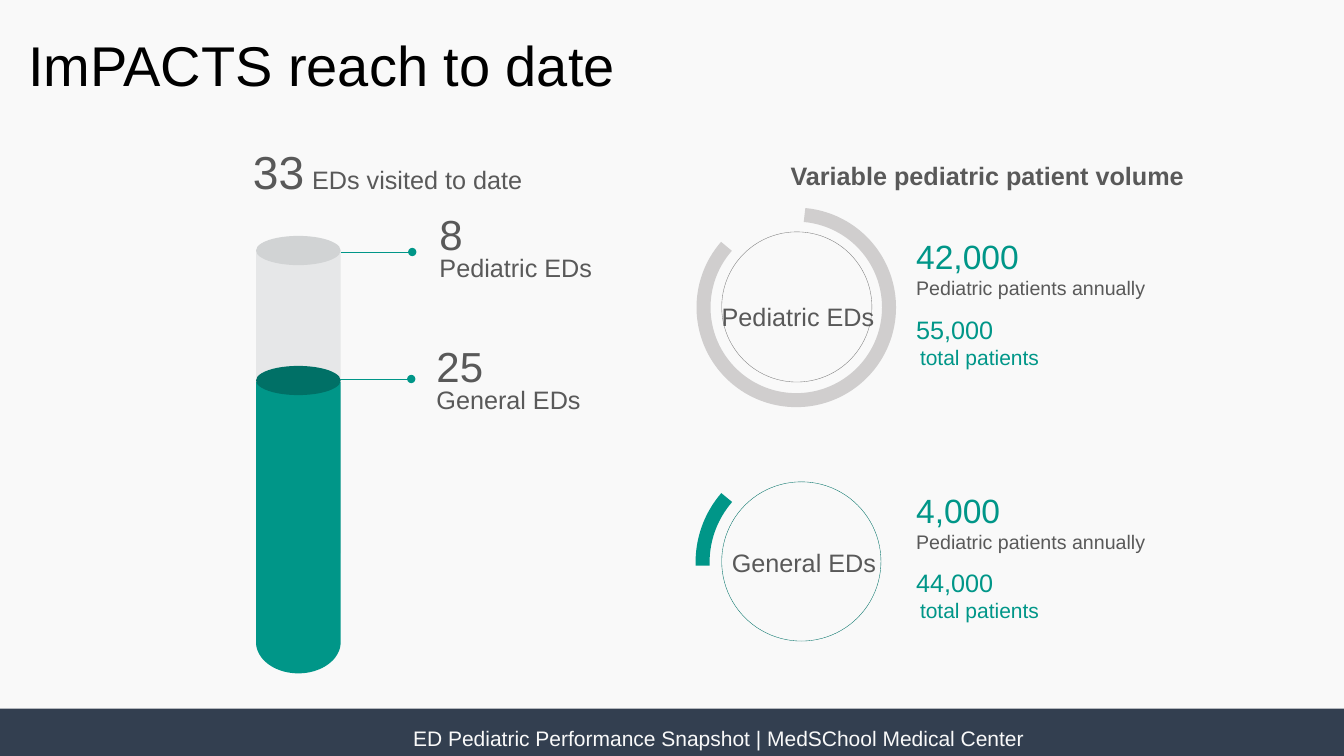
from dataclasses import dataclass
from math import cos, pi, sin

from lxml.etree import SubElement
from pptx import Presentation
from pptx.dml.color import RGBColor
from pptx.enum.shapes import MSO_CONNECTOR, MSO_SHAPE
from pptx.enum.text import MSO_ANCHOR, MSO_AUTO_SIZE, PP_ALIGN
from pptx.oxml.ns import qn
from pptx.util import Emu, Inches, Pt


@dataclass(frozen=True)
class Theme:
    font: str = "Arial"
    back: str = "F9F9F9"
    navy: str = "333F50"
    black: str = "000000"
    gray: str = "595959"
    teal: str = "009688"
    deep: str = "007066"
    pale: str = "E6E7E8"
    lid: str = "D1D3D4"
    rim: str = "7C7C7C"
    ring: str = "D0CECE"
    title: int = 40
    lead: int = 33
    count: int = 30
    big: int = 24
    gap: int = 20
    body: int = 18
    foot: int = 15
    note: int = 14
    thin: int = 10


@dataclass(frozen=True)
class Box:
    """A place on a grid 40 columns wide and 22.5 rows high."""
    col: float
    row: float
    wide: float
    high: float


@dataclass(frozen=True)
class Part:
    text: str
    size: int
    color: str
    bold: bool = False


@dataclass(frozen=True)
class Level:
    count: str
    label: str
    text: Box
    col: float
    row: float


@dataclass(frozen=True)
class Dial:
    label: str
    place: Box
    disc: Box
    edge: str
    arc: Box
    start: float
    end: float
    color: str
    kids: str
    total: str
    row: float


T = Theme()
CELL = Inches(1 / 3)
deck = Presentation()
deck.slide_width, deck.slide_height = 40 * CELL, int(22.5 * CELL)
slide = deck.slides.add_slide(deck.slide_layouts[6])
slide.background.fill.solid()
slide.background.fill.fore_color.rgb = RGBColor.from_string(T.back)


def cells(*spans: float) -> list[Emu]:
    return [Emu(round(span * CELL)) for span in spans]


def paint(shape, fill: str = "", edge: str = "", width: float = 0) -> None:
    shape.shadow.inherit = False
    if fill:
        shape.fill.solid()
        shape.fill.fore_color.rgb = RGBColor.from_string(fill)
    else:
        shape.fill.background()
    if edge:
        shape.line.color.rgb = RGBColor.from_string(edge)
        shape.line.width = Pt(width)
    else:
        shape.line.fill.background()


def draw(kind: MSO_SHAPE, box: Box, fill: str = "", edge: str = "", width: float = 0):
    shape = slide.shapes.add_shape(kind, *cells(box.col, box.row, box.wide, box.high))
    paint(shape, fill, edge, width)
    return shape


def write(box: Box, rows: list[list[Part]], tight: bool = False,
          wrap: bool = True, align: PP_ALIGN = PP_ALIGN.LEFT) -> None:
    """Tight boxes have no margins, half line spacing and centred text."""
    frame = slide.shapes.add_textbox(
        *cells(box.col, box.row, box.wide, box.high)).text_frame
    frame.word_wrap = wrap
    if tight:
        frame.vertical_anchor = MSO_ANCHOR.MIDDLE
        frame.margin_left = frame.margin_right = 0
        frame.margin_top = frame.margin_bottom = 0
    else:
        frame.auto_size = MSO_AUTO_SIZE.SHAPE_TO_FIT_TEXT
    for index, parts in enumerate(rows):
        para = frame.add_paragraph() if index else frame.paragraphs[0]
        para.alignment = align
        if tight:
            para.line_spacing, para.space_before = 0.5, Pt(7)
        para.text = parts[0].text
        for part in parts[1:]:
            para.add_run().text = part.text
        for run, part in zip(para.runs, parts):
            run.font.name, run.font.size = T.font, Pt(part.size)
            run.font.bold = part.bold
            run.font.color.rgb = RGBColor.from_string(part.color)


def point(col: float, row: float, wide: float) -> None:
    """Draw a leader that ends in a dot."""
    line = slide.shapes.add_connector(
        MSO_CONNECTOR.STRAIGHT, *cells(col, row, col + wide, row))
    line.line.color.rgb = RGBColor.from_string(T.teal)
    line.line.width = Pt(0.5)
    props = line.element.spPr
    SubElement(props.find(qn("a:ln")), qn("a:tailEnd"), type="oval")
    SubElement(props, qn("a:effectLst"))


def tube(box: Box, bend: float) -> None:
    """Draw a column whose foot is half an ellipse, bend rows high."""
    half, base, steps = box.wide / 2, box.row + box.high - bend, 48
    turns = [pi * step / steps for step in range(steps + 1)]
    foot = [(box.col + half + half * cos(turn), base + bend * sin(turn))
            for turn in turns]
    path = slide.shapes.build_freeform(*cells(box.col, box.row))
    path.add_line_segments([cells(box.col + box.wide, box.row)]
                           + [cells(*spot) for spot in foot])
    paint(path.convert_to_shape(), T.teal)


def show(level: Level) -> None:
    point(level.col, level.row, 2.13)
    write(level.text, [[Part(level.count, T.count, T.gray)],
                       [Part(level.label, T.body, T.gray)]], tight=True)


def gauge(dial: Dial) -> None:
    draw(MSO_SHAPE.OVAL, dial.disc, edge=dial.edge, width=0.25)
    arc = draw(MSO_SHAPE.ARC, dial.arc, edge=dial.color, width=10)
    for index, angle in enumerate((dial.start, dial.end)):
        arc.adjustments[index] = angle * 0.6  # sixty-thousandths of a degree
    write(dial.place, [[Part(dial.label, T.body, T.gray)]], tight=True)
    write(Box(26.97, dial.row, 7.47, 2.22),
          [[Part(dial.kids, T.big, T.teal)],
           [Part("Pediatric patients annually", T.note, T.gray)]], wrap=False)
    write(Box(26.97, dial.row + 2.33, 4.65, 1.98),
          [[Part(dial.total, T.body, T.teal)],
           [Part(" ", T.thin, T.teal), Part("total patients", T.foot, T.teal)]])


# Footer and title
draw(MSO_SHAPE.RECTANGLE, Box(0, 21.09, 40, 1.41), T.navy)
write(Box(12, 21.45, 19, 1.05),
      [[Part("ED Pediatric Performance Snapshot | MedSChool Medical Center",
             T.foot, T.back)]], wrap=False)
write(Box(0.45, 0.75, 18.24, 2.31),
      [[Part("ImPACTS reach to date", T.title, T.black)]],
      wrap=False, align=PP_ALIGN.CENTER)

# Headings
write(Box(7.53, 4.56, 10.38, 1.68),
      [[Part("33", T.lead, T.gray), Part(" ", T.gap, T.gray),
        Part("EDs visited to date", T.body, T.gray)]], tight=True)
write(Box(21.78, 4.56, 15.21, 1.68),
      [[Part("Variable pediatric patient volume", T.body, T.gray, True)]],
      tight=True, align=PP_ALIGN.CENTER)

# Tube with its two levels
draw(MSO_SHAPE.RECTANGLE, Box(7.62, 7.47, 2.52, 9), T.pale)
tube(Box(7.62, 11.37, 2.52, 8.67), 0.93)
for row, color in ((10.89, T.deep), (7.02, T.lid)):
    draw(MSO_SHAPE.OVAL, Box(7.62, row, 2.52, 0.87), color)
for level in (
    Level("25", "General EDs", Box(12.99, 10.68, 6.24, 1.68), 10.11, 11.28),
    Level("8", "Pediatric EDs", Box(13.08, 6.75, 6.24, 1.68), 10.14, 7.5),
):
    show(level)

# Patient volume dials
for dial in (
    Dial("Pediatric EDs", Box(21.48, 8.73, 6.24, 1.68),
         Box(21.48, 6.9, 4.47, 4.47), T.rim, Box(20.94, 6.39, 5.52, 5.52),
         275.11, 221.19, T.ring, "42,000", "55,000", 6.87),
    Dial("General EDs", Box(21.78, 16.05, 6.24, 1.68),
         Box(21.48, 14.34, 4.74, 4.74), T.deep, Box(20.91, 13.8, 5.85, 5.88),
         178.11, 221.19, T.teal, "4,000", "44,000", 14.42),
):
    gauge(dial)

deck.save("out.pptx")
